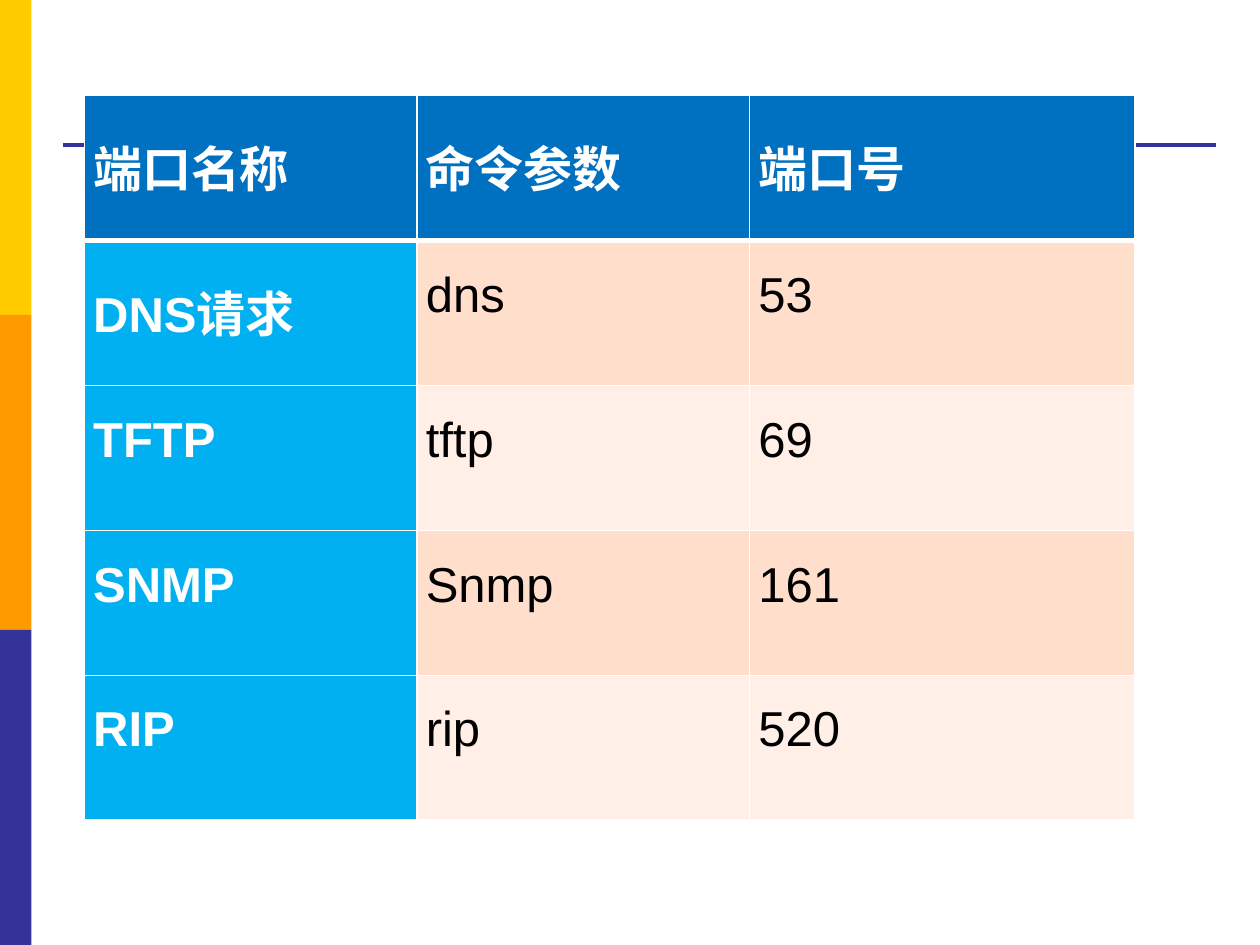
from lxml import etree
from pptx import Presentation
from pptx.dml.color import RGBColor
from pptx.enum.shapes import MSO_CONNECTOR, MSO_SHAPE
from pptx.enum.text import MSO_ANCHOR, PP_ALIGN
from pptx.oxml.ns import qn
from pptx.util import Inches, Pt

STRAIGHT = MSO_CONNECTOR.STRAIGHT
RECTANGLE = MSO_SHAPE.RECTANGLE
TOP = MSO_ANCHOR.TOP
JUSTIFY = PP_ALIGN.JUSTIFY

COLORS = {
    "yellow": "FFCC00", "orange": "FF9900", "indigo": "333399",
    "header": "0070C0", "label": "00B0F0",
    "band_dark": "FFDECC", "band_light": "FFEFE7",
    "white": "FFFFFF", "black": "000000",
}
SIDE_BARS = ["yellow", "orange", "indigo"]
PORTS = [
    ("端口名称", "命令参数", "端口号"),
    ("DNS请求", "dns", "53"),
    ("TFTP ", "tftp", "69"),
    ("SNMP", "Snmp", "161"),
    ("RIP ", "rip", "520"),
]
COLUMN_WIDTHS = [2.64, 2.64, 3.06]
ROW_HEIGHT = 1.15


def rgb(name):
    """Return the named palette colour."""
    return RGBColor.from_string(COLORS[name])


def add_side_bars(slide):
    """Stack equal colour bars down the left edge."""
    height = 7.5 / len(SIDE_BARS)
    for index, color in enumerate(SIDE_BARS):
        bar = slide.shapes.add_shape(
            RECTANGLE, 0, Inches(index * height), Inches(0.25), Inches(height))
        bar.shadow.inherit = False
        bar.fill.solid()
        bar.fill.fore_color.rgb = rgb(color)
        bar.line.fill.background()


def add_rule(slide):
    """Draw the horizontal rule behind the table."""
    rule = slide.shapes.add_connector(
        STRAIGHT, Inches(0.5), Inches(1.15), Inches(9.65), Inches(1.15))
    rule.line.color.rgb = rgb("indigo")
    rule.line.width = Pt(2.25)
    etree.SubElement(rule._element.spPr, qn("a:effectLst"))


def add_border(cell, side, width):
    """Give one side of a cell a white border."""
    properties = cell._tc.get_or_add_tcPr()
    border = etree.SubElement(properties, qn(f"a:ln{side}"), w=str(Pt(width)))
    fill = etree.SubElement(border, qn("a:solidFill"))
    etree.SubElement(fill, qn("a:srgbClr"), val=COLORS["white"])


def format_cell(cell, row, column):
    """Style a cell by its place in the table."""
    cell.margin_left = cell.margin_right = Inches(0.07)
    cell.margin_top = cell.margin_bottom = 0
    cell.vertical_anchor = TOP
    for side in "LRTB":
        heavy = (row, side) in [(0, "B"), (1, "T")]
        add_border(cell, side, 3 if heavy else 1)
    band = "band_dark" if row % 2 else "band_light"
    cell.fill.solid()
    cell.fill.fore_color.rgb = rgb(
        "header" if row == 0 else "label" if column == 0 else band)
    heading = row == 0 or column == 0
    paragraph = cell.text_frame.paragraphs[0]
    paragraph.alignment = JUSTIFY
    paragraph.line_spacing = 1.5
    font = paragraph.runs[0].font
    font.name = "Arial"
    font.size = Pt(28)
    font.bold = heading
    font.color.rgb = rgb("white" if heading else "black")


def add_port_table(slide):
    """Add the table of port names, parameters and numbers."""
    table = slide.shapes.add_table(
        len(PORTS), len(COLUMN_WIDTHS), Inches(0.67), Inches(0.76),
        Inches(sum(COLUMN_WIDTHS)), Inches(ROW_HEIGHT * len(PORTS))).table
    for column, width in zip(table.columns, COLUMN_WIDTHS):
        column.width = Inches(width)
    for row, texts in enumerate(PORTS):
        table.rows[row].height = Inches(ROW_HEIGHT)
        for column, text in enumerate(texts):
            cell = table.cell(row, column)
            cell.text_frame.text = text
            format_cell(cell, row, column)


def main():
    """Build the port number slide."""
    presentation = Presentation()
    presentation.slide_width = Inches(10)
    presentation.slide_height = Inches(7.5)
    slide = presentation.slides.add_slide(presentation.slide_layouts[6])
    add_side_bars(slide)
    add_rule(slide)
    add_port_table(slide)
    presentation.save("out.pptx")


if __name__ == "__main__":
    main()
